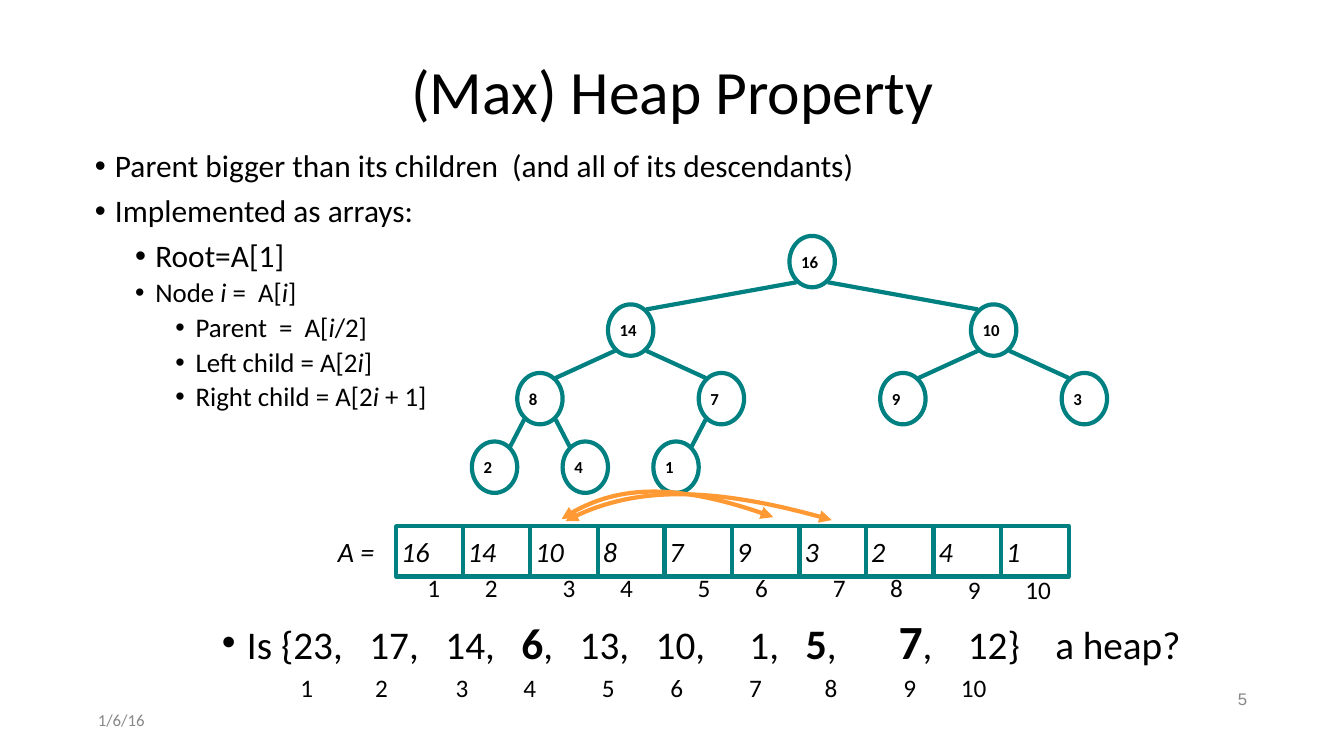
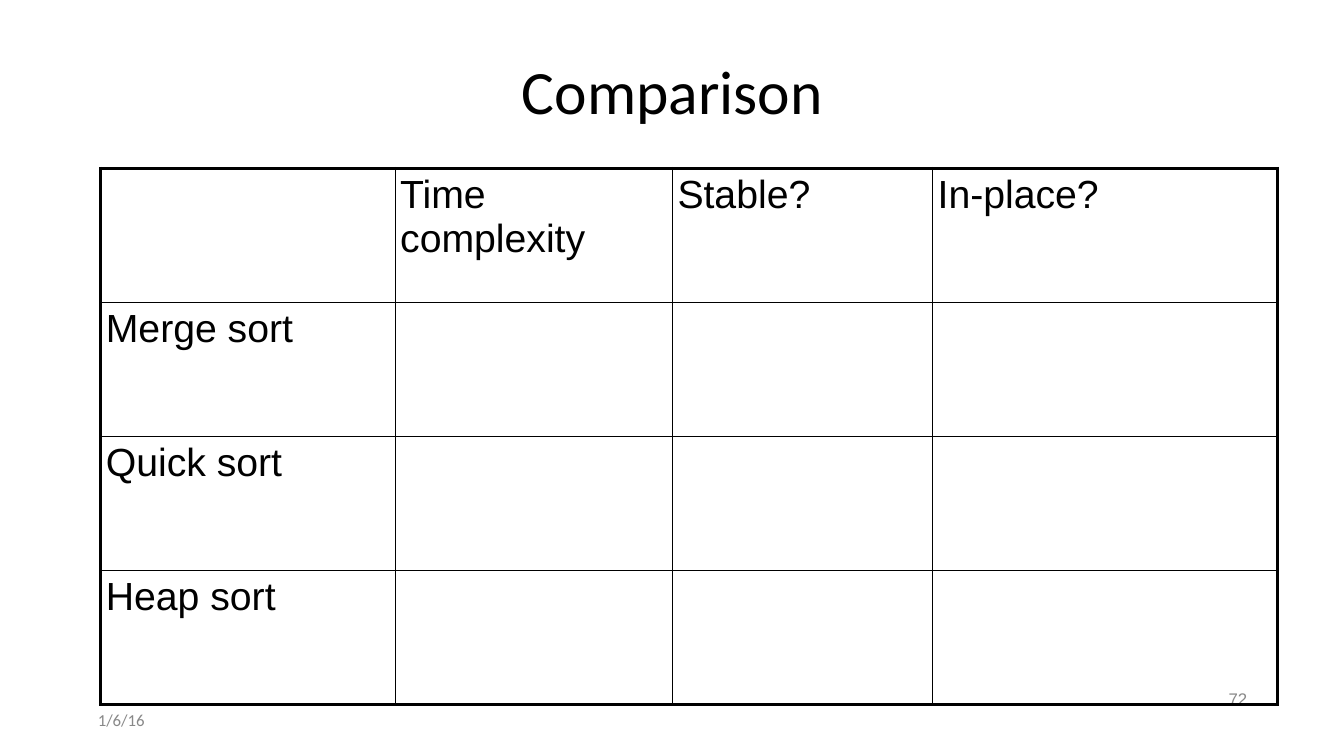
from dataclasses import dataclass

from lxml import etree
from pptx import Presentation
from pptx import util as u
from pptx.dml.color import RGBColor
from pptx.enum import shapes, text
from pptx.oxml import ns

PX = 9144  # EMU per px, 100 px to the inch
INSET = 5

BLACK = RGBColor(0x00, 0x00, 0x00)
WHITE = RGBColor(0xFF, 0xFF, 0xFF)
GREY = RGBColor(0x88, 0x88, 0x88)
TEAL = RGBColor(0x00, 0x80, 0x80)
ORANGE = RGBColor(0xFF, 0x99, 0x33)

LEFT, CENTER, RIGHT = text.PP_ALIGN.LEFT, text.PP_ALIGN.CENTER, text.PP_ALIGN.RIGHT
TOP, MIDDLE = text.MSO_ANCHOR.TOP, text.MSO_ANCHOR.MIDDLE


@dataclass(frozen=True)
class Box:
    left: int
    top: int
    width: int
    height: int

    def emu(self) -> tuple[int, ...]:
        return tuple(n * PX for n in (self.left, self.top, self.width, self.height))


@dataclass(frozen=True)
class Style:
    size: float
    font: str = "Calibri"
    color: RGBColor = BLACK
    bold: bool = False
    italic: bool = False
    align: text.PP_ALIGN = LEFT
    spacing: float = 1.0


@dataclass(frozen=True)
class Run:
    words: str
    italic: bool = False
    bold: bool = False
    size: float | None = None


@dataclass(frozen=True)
class Bullet:
    runs: tuple[Run, ...]
    size: float
    margin: int
    hanging: int = 20
    before: int = 0


@dataclass(frozen=True)
class Curve:
    """Cubic curve: start, two control points, end."""
    points: tuple[tuple[int, int], ...]


TITLE = Style(44, align=CENTER, spacing=0.9)
DATE = Style(12, color=GREY)
PAGE_NUMBER = Style(12, font="Arial", color=GREY, align=RIGHT, spacing=0.9)
ARRAY_VALUE = Style(20, italic=True)
INDEX = Style(18)
NODE = Style(12, bold=True)
TABLE_TEXT = Style(28, font="Arial")

I = Run("i", italic=True)
HEAP_BULLETS = (
    Bullet((Run("Parent bigger than its children  (and all of its descendants)"),), 22.4, 20),
    Bullet((Run("Implemented as arrays:"),), 22.4, 20, before=8),
    Bullet((Run("Root=A[1]"),), 22.4, 60, before=8),
    Bullet((Run("Node "), I, Run(" =  A["), I, Run("]")), 19.2, 60, before=4),
    Bullet((Run("Parent  =  A["), I, Run("/2]")), 19.2, 100, before=4),
    Bullet((Run("Left child = A[2"), I, Run("]")), 19.2, 100, before=4),
    Bullet((Run("Right child = A[2"), I, Run(" + 1]")), 19.2, 100, before=4),
)
QUESTION = Bullet((
    Run("Is {23,   17,   14,   "), Run("6", bold=True, size=31),
    Run(",   13,   10,     1,   "), Run("5", bold=True, size=30),
    Run(",       "), Run("7", bold=True, size=34), Run(",    12}    a heap?"),
), 28, 25, hanging=25)

HEAP = (16, 14, 10, 8, 7, 9, 3, 2, 4, 1)
ROOT = Box(783, 234, 45, 51)
LEVEL_HEIGHT = 68
CHILD_OFFSETS = (180, 90, 45)
CORNER_X, CORNER_Y = 7, 5
QUESTION_INDEX_LEFTS = (293, 367, 447, 514, 592, 660, 738, 813, 891, 948)
SWAPS = (
    Curve(((561, 517), (623, 483), (711, 483), (825, 516))),
    Curve(((557, 515), (606, 481), (677, 480), (767, 513))),
)

COLUMN_WIDTHS = (292, 275, 258, 342)
ROW_HEIGHT = 133
HEADINGS = ("", "Time complexity", "Stable?", "In-place?")
SORTS = ("Merge sort", "Quick sort", "Heap sort")


def style_paragraph(paragraph, style: Style) -> None:
    paragraph.alignment = style.align
    paragraph.line_spacing = style.spacing
    font = paragraph.font
    font.name, font.size = style.font, u.Pt(style.size)
    font.bold, font.italic = style.bold, style.italic
    font.color.rgb = style.color


def prepare_frame(frame, anchor: text.MSO_ANCHOR, wrap: bool = True) -> None:
    frame.margin_left = frame.margin_right = INSET * PX
    frame.margin_top = frame.margin_bottom = INSET * PX
    frame.vertical_anchor = anchor
    frame.word_wrap = wrap


def add_text(slide, box: Box, words: str, style: Style,
             anchor: text.MSO_ANCHOR = MIDDLE, wrap: bool = True) -> None:
    frame = slide.shapes.add_textbox(*box.emu()).text_frame
    prepare_frame(frame, anchor, wrap)
    frame.text = words
    style_paragraph(frame.paragraphs[0], style)


def add_bullets(slide, box: Box, bullets: tuple[Bullet, ...], wrap: bool = True) -> None:
    frame = slide.shapes.add_textbox(*box.emu()).text_frame
    prepare_frame(frame, TOP, wrap)
    for number, bullet in enumerate(bullets):
        paragraph = frame.add_paragraph() if number else frame.paragraphs[0]
        properties = paragraph._p.get_or_add_pPr()
        properties.set("marL", str(bullet.margin * PX))
        properties.set("indent", str(-bullet.hanging * PX))
        etree.SubElement(properties, ns.qn("a:buFont"), typeface="Arial")
        etree.SubElement(properties, ns.qn("a:buChar"), char="•")
        style_paragraph(paragraph, Style(bullet.size, spacing=0.9))
        if bullet.before:
            paragraph.space_before = u.Pt(bullet.before)
        for part in bullet.runs:
            run = paragraph.add_run()
            run.text = part.words
            if part.italic:
                run.font.italic = True
            if part.bold:
                run.font.bold = True
            if part.size:
                run.font.size = u.Pt(part.size)


def set_line(line, color: RGBColor) -> None:
    line.color.rgb = color
    line.width = u.Pt(3)


def add_value(slide, kind: shapes.MSO_SHAPE, box: Box, value: int, style: Style) -> None:
    """Draw an outlined shape holding one heap value."""
    shape = slide.shapes.add_shape(kind, *box.emu())
    shape.shadow.inherit = False
    shape.fill.solid()
    shape.fill.fore_color.rgb = WHITE
    set_line(shape.line, TEAL)
    prepare_frame(shape.text_frame, MIDDLE)
    shape.text_frame.text = str(value)
    style_paragraph(shape.text_frame.paragraphs[0], style)


def add_edge(slide, parent: Box, child: Box) -> None:
    goes_left = child.left < parent.left
    near, far = CORNER_X, ROOT.width - CORNER_X
    start_x = parent.left + (near if goes_left else far)
    end_x = child.left + (far if goes_left else near)
    ends = (start_x, parent.top + ROOT.height - CORNER_Y, end_x, child.top + CORNER_Y)
    edge = slide.shapes.add_connector(shapes.MSO_CONNECTOR.STRAIGHT, *(n * PX for n in ends))
    set_line(edge.line, TEAL)
    etree.SubElement(edge._element.spPr, ns.qn("a:effectLst"))


def add_tree(slide) -> None:
    nodes = [ROOT]
    for position in range(2, len(HEAP) + 1):
        parent = nodes[position // 2 - 1]
        offset = CHILD_OFFSETS[position.bit_length() - 2]
        side = 1 if position % 2 else -1
        nodes.append(Box(parent.left + side * offset, parent.top + LEVEL_HEIGHT,
                         ROOT.width, ROOT.height))
    for node, value in zip(nodes, HEAP):
        add_value(slide, shapes.MSO_SHAPE.OVAL, node, value, NODE)
    for position, child in enumerate(nodes[1:], start=2):
        add_edge(slide, nodes[position // 2 - 1], child)


def add_index(slide, left: int, top: int, index: int) -> None:
    width = 24 if index < 10 else 37
    add_text(slide, Box(left, top, width, 41), str(index), INDEX, TOP, wrap=False)


def add_array(slide) -> None:
    add_text(slide, Box(330, 525, 48, 43), "A =", ARRAY_VALUE, wrap=False)
    for i, value in enumerate(HEAP):
        cell = Box(393 + i * 200 // 3, 522, 67, 50)
        add_value(slide, shapes.MSO_SHAPE.RECTANGLE, cell, value, ARRAY_VALUE)
    for i in range(len(HEAP)):
        pair, second = divmod(i, 2)
        add_index(slide, 419 + 134 * pair + 57 * second, 565 if pair == 4 else 563, i + 1)


def add_swap(slide, curve: Curve) -> None:
    """Draw a curved arrow with a head at both ends."""
    start, *others = [(x * PX, y * PX) for x, y in curve.points]
    builder = slide.shapes.build_freeform(*start, scale=1.0)
    builder.add_line_segments(others, close=False)
    shape = builder.convert_to_shape()
    shape.shadow.inherit = False
    shape.fill.background()
    set_line(shape.line, ORANGE)
    for end in ("a:headEnd", "a:tailEnd"):
        etree.SubElement(shape.line._get_or_add_ln(), ns.qn(end), type="triangle")
    outline = next(shape._element.iter(ns.qn("a:path")))
    segments = outline.findall(ns.qn("a:lnTo"))
    bezier = etree.SubElement(outline, ns.qn("a:cubicBezTo"))
    for segment in segments:
        bezier.append(segment[0])
        outline.remove(segment)


def set_borders(cell, widths: dict[str, float]) -> None:
    properties = cell._tc.get_or_add_tcPr()
    for order, (side, width) in enumerate(widths.items()):
        line = etree.Element(ns.qn(f"a:ln{side}"), w=str(u.Pt(width)))
        fill = etree.SubElement(line, ns.qn("a:solidFill"))
        etree.SubElement(fill, ns.qn("a:srgbClr"), val=str(BLACK))
        properties.insert(order, line)


def add_comparison(slide) -> None:
    rows = [HEADINGS] + [(name, "", "", "") for name in SORTS]
    box = Box(100, 167, sum(COLUMN_WIDTHS), ROW_HEIGHT * len(rows))
    table = slide.shapes.add_table(len(rows), len(HEADINGS), *box.emu()).table
    table.first_row = table.horz_banding = False
    for column, width in zip(table.columns, COLUMN_WIDTHS):
        column.width = width * PX
    last_row, last_column = len(rows) - 1, len(HEADINGS) - 1
    for r, row in enumerate(rows):
        table.rows[r].height = ROW_HEIGHT * PX
        for c, words in enumerate(row):
            cell = table.cell(r, c)
            cell.fill.background()
            cell.margin_left = cell.margin_right = INSET * PX
            cell.margin_top = cell.margin_bottom = INSET * PX
            cell.text = words
            style_paragraph(cell.text_frame.paragraphs[0], TABLE_TEXT)
            outer = {"L": c == 0, "R": c == last_column, "T": r == 0, "B": r == last_row}
            set_borders(cell, {side: 2.25 if edge else 1 for side, edge in outer.items()})


def add_slide(presentation, title: str, number: int):
    slide = presentation.slides.add_slide(presentation.slide_layouts[6])
    add_text(slide, Box(92, 700, 300, 29), "1/6/16", DATE)
    add_text(slide, Box(942, 680, 300, 29), str(number), PAGE_NUMBER)
    add_text(slide, Box(92, 40, 1150, 107), title, TITLE)
    return slide


def main() -> None:
    presentation = Presentation()
    presentation.slide_width, presentation.slide_height = 1333 * PX, 750 * PX

    heap = add_slide(presentation, "(Max) Heap Property", 5)
    add_bullets(heap, Box(89, 144, 785, 278), HEAP_BULLETS)
    add_array(heap)
    add_tree(heap)
    add_bullets(heap, Box(215, 609, 963, 67), (QUESTION,), wrap=False)
    for index, left in enumerate(QUESTION_INDEX_LEFTS, start=1):
        add_index(heap, left, 662, index)
    for curve in SWAPS:
        add_swap(heap, curve)

    add_comparison(add_slide(presentation, "Comparison", 72))
    presentation.save("out.pptx")


if __name__ == "__main__":
    main()
